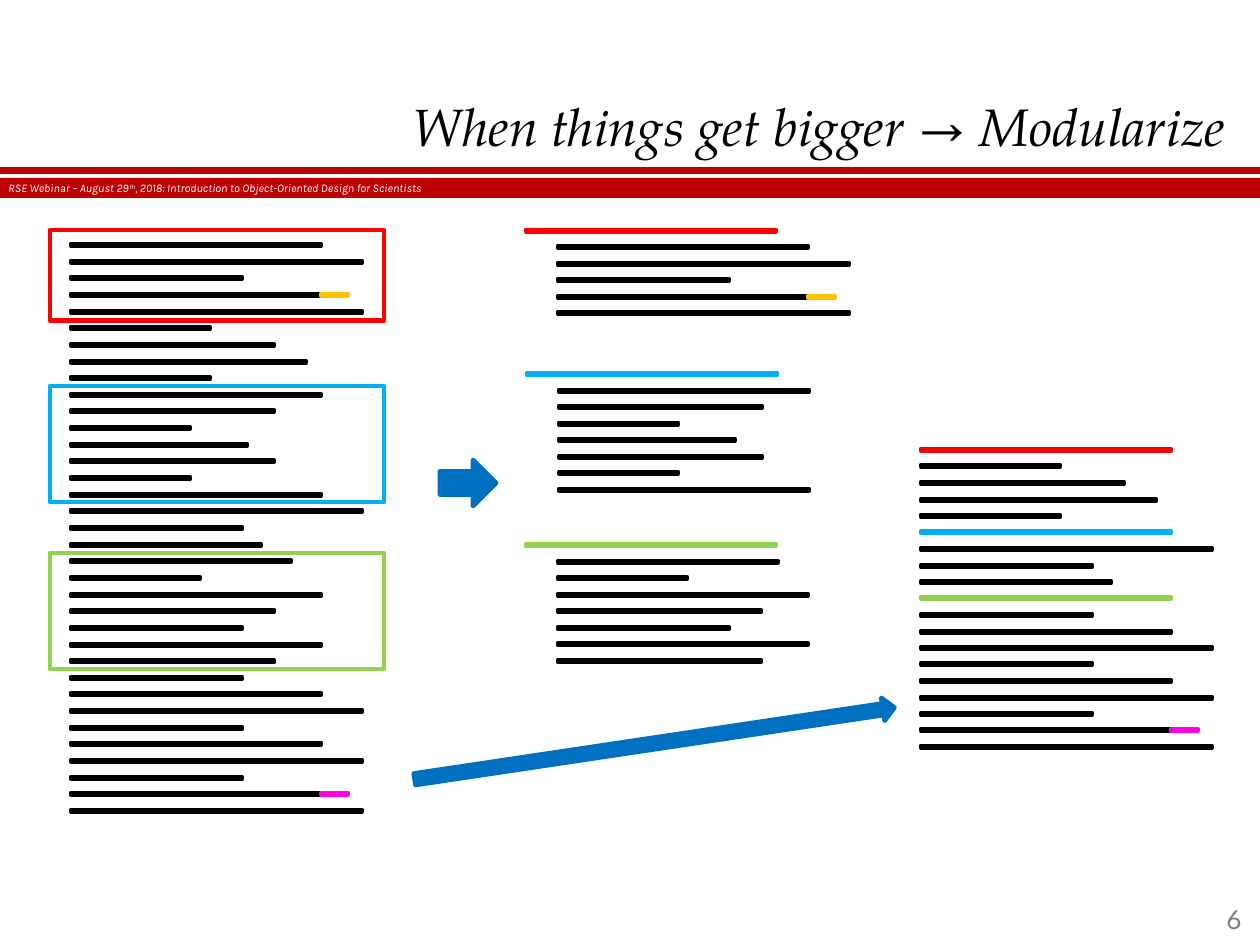
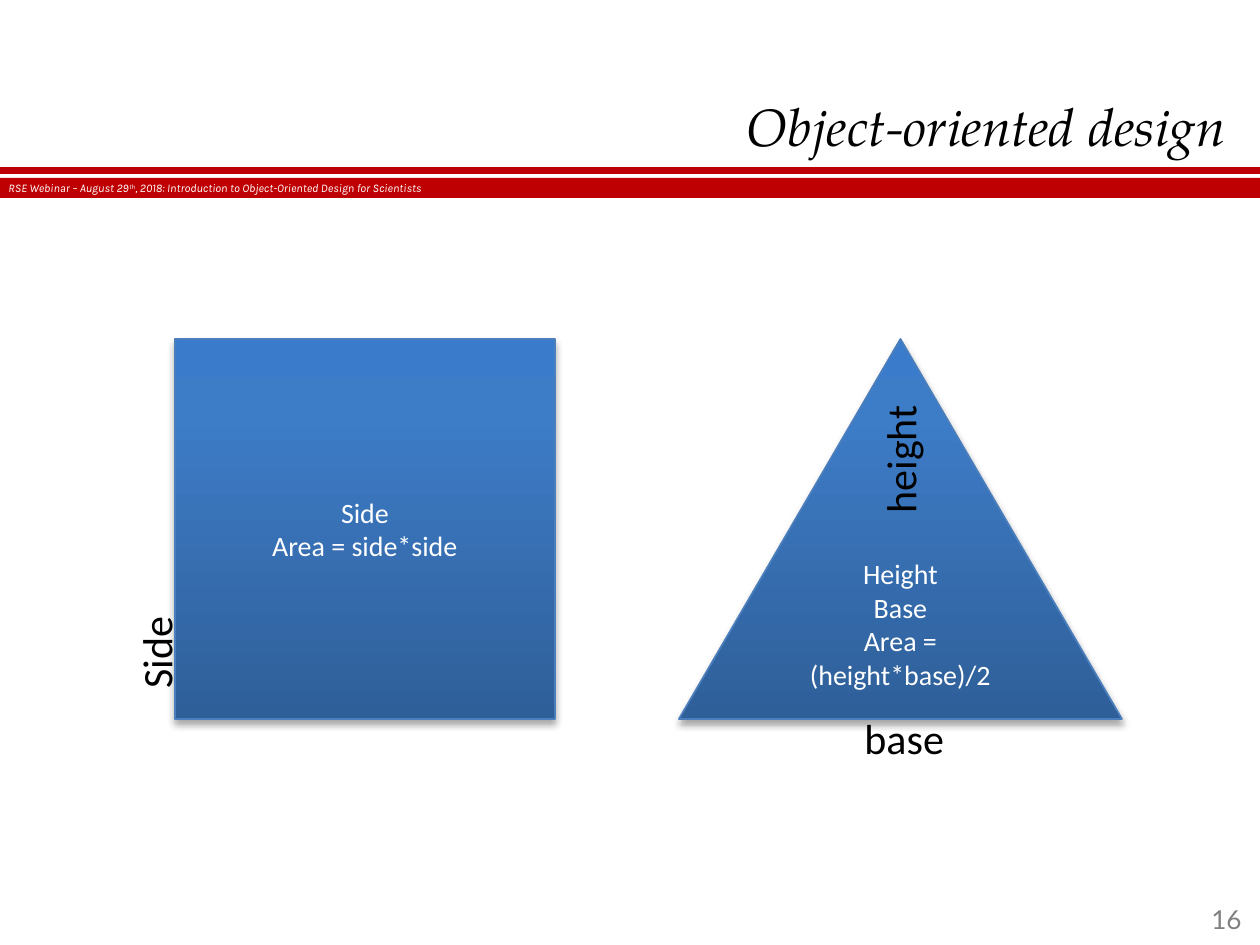
from dataclasses import dataclass
from lxml.etree import SubElement
from pptx import Presentation
from pptx.dml.color import RGBColor
from pptx.enum.shapes import MSO_CONNECTOR, MSO_SHAPE
from pptx.enum.text import MSO_ANCHOR, MSO_AUTO_SIZE, PP_ALIGN
from pptx.oxml.ns import qn
from pptx.util import Emu, Pt


@dataclass(frozen=True)
class Theme:
    band: str = "BE0003"
    code: str = "000000"
    red: str = "FF0000"
    blue: str = "00B0F0"
    green: str = "92D050"
    yellow: str = "FFC000"
    magenta: str = "FF01E1"
    arrow: str = "0070C0"
    outline: str = "4B7EBC"
    gradient: tuple = ((0, "2F5F99"), (80, "3D7CC7"), (100, "3A7CCB"))
    title: tuple = ("TeX Gyre Pagella", 22.5, "000000", True)
    footer: tuple = ("Karla", 5, "FFFFFF", True)
    number: tuple = ("Lato", 11.2, "808080", False)
    formula: tuple = ("Calibri", 12, "FFFFFF", False)
    label: tuple = ("Calibri", 18, "000000", False)


THEME = Theme()
EMU_PER_PX = 914400 / 168
SLIDE_WIDTH, SLIDE_HEIGHT = 1260, 945
BAR_HEIGHT = 2
CALL_WIDTH = 250
TAG_WIDTH = 27
MODULE_INDENT = 32

READ = [250, 291, 171, (250, THEME.yellow), 291]
SETUP = [139, 203, 235, 139]
COMPUTE = [250, 203, 119, 176, 203, 119, 250]
CHECK = [291, 171, 190]
REPORT = [220, 129, 250, 203, 171, 250, 203]
FINISH = [171, 250, 291, 171, 250, 291, 171, (250, THEME.magenta), 291]


def px(*lengths):
    return [Emu(round(length * EMU_PER_PX)) for length in lengths]


def set_values(target, values):
    for name, value in values.items():
        setattr(target, name, value)


def write(frame, paragraphs, style, align=PP_ALIGN.LEFT, **frame_format):
    set_values(frame, {"word_wrap": True, **frame_format})
    name, size, color, italic = style
    for index, runs in enumerate(paragraphs):
        paragraph = frame.add_paragraph() if index else frame.paragraphs[0]
        paragraph.alignment = align
        for text in runs:
            run = paragraph.add_run()
            run.text = text
            set_values(run.font, {"name": name, "size": Pt(size), "italic": italic})
            run.font.color.rgb = RGBColor.from_string(color)


def add_text(shapes, box, runs, style, rotation=0, **options):
    textbox = shapes.add_textbox(*px(*box))
    textbox.rotation = rotation
    write(textbox.text_frame, [runs], style, **options)
    return textbox


def add_shape(shapes, kind, box, fill=None, line=None, weight=2):
    shape = shapes.add_shape(kind, *px(*box))
    shape.shadow.inherit = False
    if fill:
        shape.fill.solid()
        shape.fill.fore_color.rgb = RGBColor.from_string(fill)
    else:
        shape.fill.background()
    if line:
        shape.line.color.rgb = RGBColor.from_string(line)
        shape.line.width = Pt(weight)
    else:
        shape.line.fill.background()
    return shape


def add_header(slide, title, number):
    add_shape(slide.shapes, MSO_SHAPE.RECTANGLE, (0, 178, SLIDE_WIDTH, 20), THEME.band)
    rule = slide.shapes.add_connector(MSO_CONNECTOR.STRAIGHT, *px(0, 171, SLIDE_WIDTH, 171))
    rule.line.color.rgb = RGBColor.from_string(THEME.band)
    rule.line.width = Pt(3)
    SubElement(rule._element.spPr, qn("a:effectLst"))
    footer = add_text(slide.shapes, (-8, 173, SLIDE_WIDTH, 32),
                      ["RSE Webinar – August 29", "th",
                       ", 2018: Introduction to Object-Oriented Design for Scientists"],
                      THEME.footer)
    ordinal = footer.text_frame.paragraphs[0].runs[1]
    ordinal.font._element.set("baseline", "30000")
    add_text(slide.shapes, (1122, 895, 136, 50), [str(number)], THEME.number,
             align=PP_ALIGN.RIGHT)
    placeholder = slide.shapes.title
    left, top, width, height, side, edge = px(0, 0, SLIDE_WIDTH, 165, 34, 8)
    set_values(placeholder, {"left": left, "top": top, "width": width, "height": height})
    write(placeholder.text_frame, [[title]], THEME.title, PP_ALIGN.RIGHT,
          vertical_anchor=MSO_ANCHOR.BOTTOM, auto_size=MSO_AUTO_SIZE.NONE,
          margin_left=side, margin_right=side, margin_top=edge, margin_bottom=edge)


def add_code(slide, box, rows, call_offset=0):
    left, top, height = box
    shapes = slide.shapes.add_group_shape().shapes

    def add_bar(x, y, width, color):
        add_shape(shapes, MSO_SHAPE.RECTANGLE, (x, y, width, BAR_HEIGHT), color, color)

    for index, row in enumerate(rows):
        y = top + round(index * height / (len(rows) - 1))
        if isinstance(row, str):
            add_bar(left - call_offset, y, CALL_WIDTH, row)
            continue
        width, tag = row if isinstance(row, tuple) else (row, None)
        add_bar(left, y, width, THEME.code)
        if tag:
            add_bar(left + width, y, TAG_WIDTH, tag)


def add_modularize_slide(slide):
    add_header(slide, "When things get bigger → Modularize", 6)
    sections = [
        (THEME.red, READ, (50, 230, 334, 91), (558, 230, 82)),
        (THEME.blue, COMPUTE, (50, 386, 334, 116), (559, 373, 116)),
        (THEME.green, REPORT, (50, 553, 334, 116), (558, 544, 116)),
    ]
    for color, rows, frame_box, module_box in sections:
        add_shape(slide.shapes, MSO_SHAPE.RECTANGLE, frame_box, line=color)
        add_code(slide, module_box, [color, *rows], MODULE_INDENT)
    add_code(slide, (71, 244, 566), READ + SETUP + COMPUTE + CHECK + REPORT + FINISH)
    add_code(slide, (921, 449, 297),
             [THEME.red, *SETUP, THEME.blue, *CHECK, THEME.green, *FINISH])
    for box, rotation in [((440, 460, 56, 46), 0), ((412, 732, 485, 23), 351.5)]:
        arrow = add_shape(slide.shapes, MSO_SHAPE.RIGHT_ARROW, box, THEME.arrow, THEME.arrow)
        arrow.rotation = rotation


def shade(shape):
    shape.fill.gradient()
    shape.fill.gradient_angle = 90
    stops = shape._element.spPr.find(".//" + qn("a:gsLst"))
    stops.clear()
    for position, color in THEME.gradient:
        stop = SubElement(stops, qn("a:gs"), pos=str(position * 1000))
        SubElement(stop, qn("a:srgbClr"), val=color)
    effects = shape._element.spPr.find(qn("a:effectLst"))
    shadow = SubElement(effects, qn("a:outerShdw"), blurRad=str(Pt(3.1)),
                        dist=str(Pt(1.8)), dir="5400000", rotWithShape="0")
    shadow_color = SubElement(shadow, qn("a:srgbClr"), val="000000")
    SubElement(shadow_color, qn("a:alpha"), val="35000")


def add_figure(slide, kind, box, formulas, labels):
    left, top, width, height = box
    shapes = slide.shapes.add_group_shape().shapes
    shape = add_shape(shapes, kind, box, line=THEME.outline, weight=0.75)
    shade(shape)
    write(shape.text_frame, [[formula] for formula in formulas], THEME.formula,
          PP_ALIGN.CENTER, vertical_anchor=MSO_ANCHOR.MIDDLE)
    for text, (x, y, label_width, label_height), rotation in labels:
        add_text(shapes, (left + x, top + y, label_width, label_height), [text],
                 THEME.label, rotation, word_wrap=False,
                 auto_size=MSO_AUTO_SIZE.SHAPE_TO_FIT_TEXT)


def add_design_slide(slide):
    add_header(slide, "Object-oriented design", 16)
    add_figure(slide, MSO_SHAPE.RECTANGLE, (175, 339, 380, 380),
               ["Side", "Area = side*side"],
               [("Side", (-74, 278, 109, 67), 270)])
    add_figure(slide, MSO_SHAPE.ISOSCELES_TRIANGLE, (679, 339, 443, 380),
               ["Height", "Base", "Area = (height*base)/2"],
               [("height", (149, 86, 143, 67), 270), ("base", (169, 365, 116, 67), 0)])


def main():
    presentation = Presentation()
    width, height = px(SLIDE_WIDTH, SLIDE_HEIGHT)
    set_values(presentation, {"slide_width": width, "slide_height": height})
    for build in (add_modularize_slide, add_design_slide):
        build(presentation.slides.add_slide(presentation.slide_layouts[5]))
    presentation.save("out.pptx")


if __name__ == "__main__":
    main()
